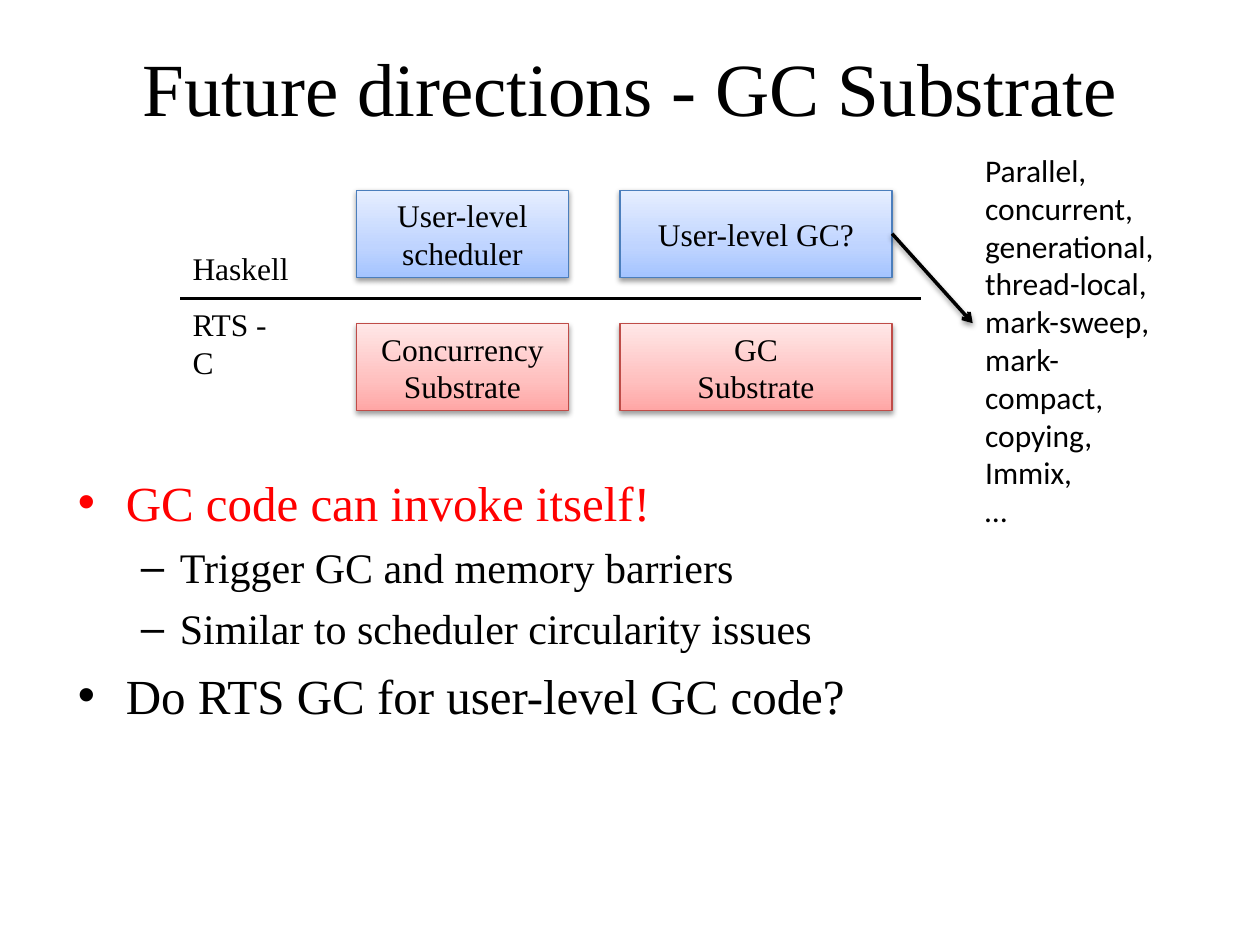
from copy import deepcopy
from lxml.etree import SubElement
from pptx import Presentation
from pptx.dml.color import RGBColor
from pptx.enum.shapes import MSO_CONNECTOR, MSO_SHAPE
from pptx.enum.text import MSO_ANCHOR, PP_ALIGN
from pptx.oxml.ns import qn
from pptx.util import Inches, Pt

TITLE = "Future directions - GC Substrate"
BLUE = {"stops": [(0, "A4C4FF"), (0.35, "BFD4FF"), (1, "E6EEFF")], "edge": "4B7EBC"}
RED = {"stops": [(0, "FFA6A5"), (0.35, "FFC0BF"), (1, "FFE7E7")], "edge": "BF4C48"}
COLUMNS = [(2.83, 1.68), (4.92, 2.16)]
BOX_HEIGHT = 0.69
LAYERS = [
    (1.51, BLUE, [["User-level", "scheduler"], ["User-level GC?"]]),
    (2.57, RED, [["Concurrency Substrate"], ["GC", "Substrate"]]),
]
DIVIDER_Y = 2.37
LAYER_LABELS = [("Haskell", 1.93, 0.97), ("RTS - C", DIVIDER_Y, 1)]
COLLECTORS = ["Parallel,", "concurrent,", "generational,", "thread-local,", "mark-sweep,",
              "mark-compact,", "copying,", "Immix,", "…"]
LEVELS = [
    {"bullet": "•", "size": 28, "left": 0.38, "hang": 0.38, "before": 7},
    {"bullet": "–", "size": 24, "left": 0.81, "hang": 0.31, "before": 6},
]
POINTS = [
    (0, "GC code can invoke itself!", "FF0000"),
    (1, "Trigger GC and memory barriers", "000000"),
    (1, "Similar to scheduler circularity issues", "000000"),
    (0, "Do RTS GC for user-level GC code?", "000000"),
]


def rgb(value):
    return RGBColor.from_string(value)


def write(frame, lines, size=18, font="Times New Roman", color="000000",
          align=PP_ALIGN.LEFT, anchor=MSO_ANCHOR.TOP, spacing=None):
    frame.word_wrap = True
    frame.vertical_anchor = anchor
    for index, line in enumerate(lines):
        paragraph = frame.add_paragraph() if index else frame.paragraphs[0]
        paragraph.alignment = align
        if spacing:
            paragraph.line_spacing = spacing
        run = paragraph.add_run()
        run.text = line
        run.font.size = Pt(size)
        run.font.name = font
        run.font.color.rgb = rgb(color)


def add_text(left, top, width, height, lines, **style):
    box = slide.shapes.add_textbox(Inches(left), Inches(top), Inches(width), Inches(height))
    write(box.text_frame, lines, **style)
    return box


def set_shadow(item, visible):
    properties = item._element.spPr
    effects = properties.find(qn("a:effectLst"))
    if effects is None:
        effects = SubElement(properties, qn("a:effectLst"))
    if visible:
        shadow = SubElement(effects, qn("a:outerShdw"), blurRad="40000", dist="20000",
                            dir="5400000", rotWithShape="0")
        tint = SubElement(shadow, qn("a:srgbClr"), val="000000")
        SubElement(tint, qn("a:alpha"), val="38000")


def add_box(left, top, width, palette, lines):
    box = slide.shapes.add_shape(MSO_SHAPE.RECTANGLE, Inches(left), Inches(top),
                                 Inches(width), Inches(BOX_HEIGHT))
    box.fill.gradient()
    box.fill.gradient_angle = 90
    stop_list = box._element.spPr.find(".//" + qn("a:gsLst"))
    stop_list.insert(1, deepcopy(stop_list[0]))
    for stop, (position, color) in zip(box.fill.gradient_stops, palette["stops"]):
        stop.position = position
        stop.color.rgb = rgb(color)
    box.line.color.rgb = rgb(palette["edge"])
    box.line.width = Pt(0.75)
    box.shadow.inherit = False
    set_shadow(box, True)
    write(box.text_frame, lines, align=PP_ALIGN.CENTER, anchor=MSO_ANCHOR.MIDDLE)
    return box


def add_line(x1, y1, x2, y2, arrow=False):
    line = slide.shapes.add_connector(MSO_CONNECTOR.STRAIGHT, Inches(x1), Inches(y1),
                                      Inches(x2), Inches(y2))
    line.line.color.rgb = rgb("000000")
    line.line.width = Pt(2)
    if arrow:
        SubElement(line._element.spPr.find(qn("a:ln")), qn("a:tailEnd"), type="arrow")
    set_shadow(line, arrow)
    return line


def format_point(paragraph, level, color, first):
    style = LEVELS[level]
    properties = paragraph._p.get_or_add_pPr()
    properties.set("marL", str(Inches(style["left"])))
    properties.set("indent", str(-Inches(style["hang"])))
    SubElement(properties, qn("a:buFont"), typeface="Arial")
    SubElement(properties, qn("a:buChar"), char=style["bullet"])
    paragraph.level = level
    if not first:
        paragraph.space_before = Pt(style["before"])
    font = paragraph.runs[0].font
    font.size = Pt(style["size"])
    font.color.rgb = rgb(color)


presentation = Presentation()
presentation.slide_width = Inches(10)
presentation.slide_height = Inches(7.5)
slide = presentation.slides.add_slide(presentation.slide_layouts[6])

add_text(0.66, 0.24, 8.68, 0.96, [TITLE], size=42.9, align=PP_ALIGN.CENTER,
         anchor=MSO_ANCHOR.MIDDLE, spacing=0.95)
add_line(1.43, DIVIDER_Y, 7.31, DIVIDER_Y)
for label, top, width in LAYER_LABELS:
    add_text(1.43, top, width, 0.4, [label])

boxes = [add_box(left, top, width, palette, lines)
         for top, palette, texts in LAYERS
         for (left, width), lines in zip(COLUMNS, texts)]
user_level_gc = boxes[1]

points = add_text(0.52, 3.7, 8.97, 3.5, [text for _, text, _ in POINTS])
for index, (level, _, color) in enumerate(POINTS):
    format_point(points.text_frame.paragraphs[index], level, color, index == 0)

collectors = add_text(7.72, 1.15, 1.72, 2.83, COLLECTORS, font="Calibri")
arrow = add_line(7.08, 1.85, 7.72, 2.57, arrow=True)
arrow.begin_connect(user_level_gc, 3)
arrow.end_connect(collectors, 1)

presentation.save("out.pptx")
